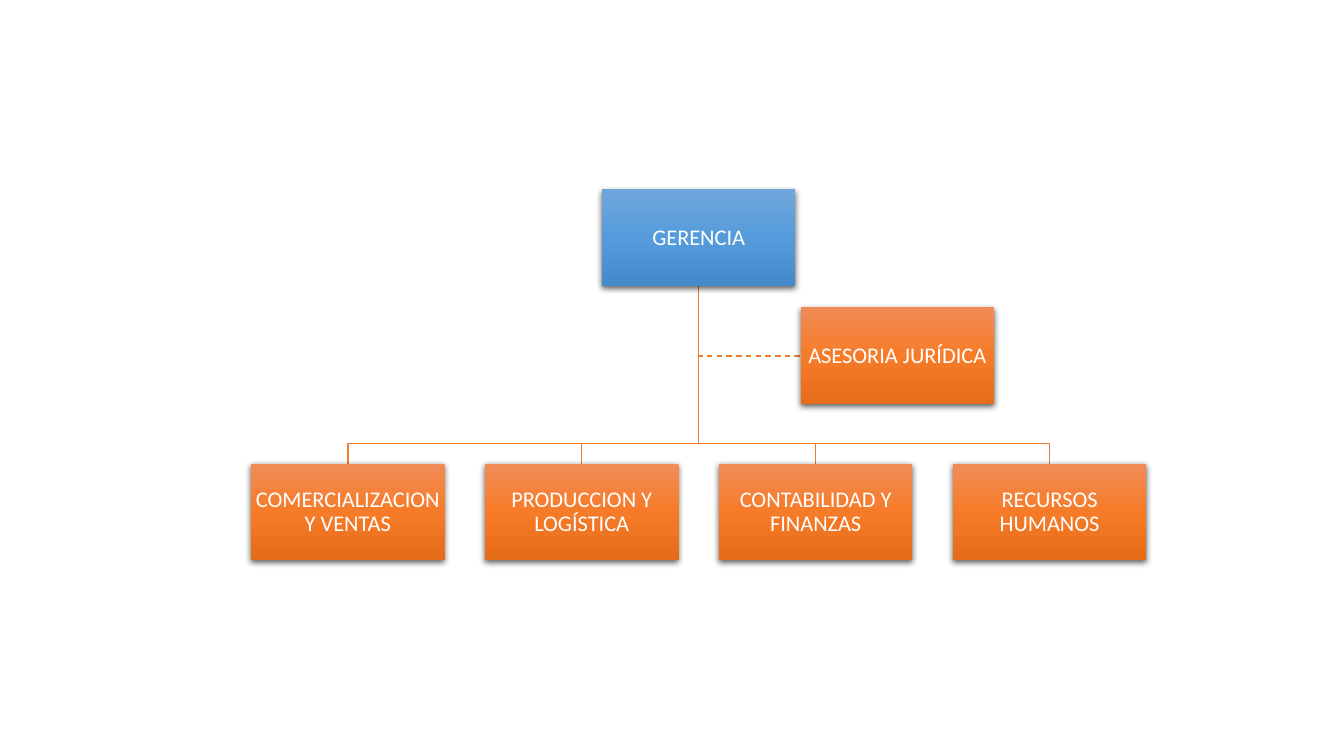
from copy import deepcopy

from lxml import etree
from pptx import Presentation
from pptx.dml.color import RGBColor
from pptx.enum import dml, shapes, text
from pptx.oxml.ns import qn
from pptx.util import Inches, Pt

# Content
MANAGEMENT = "GERENCIA"
ADVISOR = "ASESORIA JURÍDICA"
DEPARTMENTS = [
    "COMERCIALIZACION Y VENTAS",
    "PRODUCCION Y LOGÍSTICA",
    "CONTABILIDAD Y FINANZAS",
    "RECURSOS HUMANOS",
]

# Colours
WHITE = RGBColor(0xFF, 0xFF, 0xFF)
LINE_ORANGE = RGBColor(0xED, 0x7D, 0x31)
BLUES = [RGBColor.from_string(c) for c in ("71A6DB", "559BDB", "448ACA")]
ORANGES = [RGBColor.from_string(c) for c in ("F18C57", "F67B28", "E56C19")]

# Layout in inches
BOX_WIDTH, BOX_HEIGHT = 1.92, 0.96
CENTER, PITCH = 6.93, 2.32
MANAGEMENT_TOP, ADVISOR_TOP, DEPARTMENT_TOP = 1.88, 3.05, 4.6
ADVISOR_LEFT = 7.94
TRUNK_TOP = MANAGEMENT_TOP + BOX_HEIGHT
BRANCH_Y = 4.4

FRAME_FORMAT = {
    "word_wrap": True,
    "vertical_anchor": text.MSO_ANCHOR.MIDDLE,
    **{f"margin_{side}": Inches(0.01) for side in ("left", "right", "top", "bottom")},
}
PARAGRAPH_FORMAT = {"alignment": text.PP_ALIGN.CENTER, "line_spacing": 0.9}
FONT_FORMAT = {"name": "Calibri", "size": Pt(16)}

presentation = Presentation()
presentation.slide_width, presentation.slide_height = Inches(13.33), Inches(7.5)
slide = presentation.slides.add_slide(presentation.slide_layouts[6])


def set_all(target, values):
    for name, value in values.items():
        setattr(target, name, value)


def add_link(points, dashed=False):
    points = [(Inches(x), Inches(y)) for x, y in points]
    builder = slide.shapes.build_freeform(*points[0])
    builder.add_line_segments(points[1:], close=False)
    shape = builder.convert_to_shape()
    shape.shadow.inherit = False
    shape.fill.background()
    shape.line.color.rgb = LINE_ORANGE
    shape.line.width = Pt(1)
    if dashed:
        shape.line.dash_style = dml.MSO_LINE.DASH


def fill_gradient(shape, colors):
    shape.fill.gradient()
    shape.fill.gradient_angle = 270
    stop_list = next(shape._element.spPr.iter(qn("a:gsLst")))
    stop_list.append(deepcopy(stop_list[0]))
    for index, (stop, color) in enumerate(zip(shape.fill.gradient_stops, colors)):
        stop.color.rgb = color
        stop.position = index / (len(colors) - 1)


def add_shadow(shape):
    shape.shadow.inherit = False
    effects = shape._element.spPr.find(qn("a:effectLst"))
    shadow = etree.SubElement(effects, qn("a:outerShdw"), blurRad=str(Pt(4.5)),
                              dist=str(Pt(1.5)), dir="5400000", rotWithShape="0")
    color = etree.SubElement(shadow, qn("a:srgbClr"), val="000000")
    etree.SubElement(color, qn("a:alpha"), val="63000")


def add_box(label, left, top, colors):
    shape = slide.shapes.add_shape(
        shapes.MSO_SHAPE.RECTANGLE, Inches(left), Inches(top),
        Inches(BOX_WIDTH), Inches(BOX_HEIGHT))
    fill_gradient(shape, colors)
    shape.line.fill.background()
    add_shadow(shape)
    set_all(shape.text_frame, FRAME_FORMAT)
    paragraph = shape.text_frame.paragraphs[0]
    set_all(paragraph, PARAGRAPH_FORMAT)
    run = paragraph.add_run()
    run.text = label
    set_all(run.font, FONT_FORMAT)
    run.font.color.rgb = WHITE


# Links, behind the boxes
department_centers = [CENTER + (index - (len(DEPARTMENTS) - 1) / 2) * PITCH
                      for index in range(len(DEPARTMENTS))]
advisor_middle = ADVISOR_TOP + BOX_HEIGHT / 2
add_link([(CENTER, TRUNK_TOP), (CENTER, advisor_middle),
          (ADVISOR_LEFT, advisor_middle)], dashed=True)
for x in department_centers:
    add_link([(CENTER, TRUNK_TOP), (CENTER, BRANCH_Y), (x, BRANCH_Y), (x, DEPARTMENT_TOP)])

# Boxes
add_box(MANAGEMENT, CENTER - BOX_WIDTH / 2, MANAGEMENT_TOP, BLUES)
for label, x in zip(DEPARTMENTS, department_centers):
    add_box(label, x - BOX_WIDTH / 2, DEPARTMENT_TOP, ORANGES)
add_box(ADVISOR, ADVISOR_LEFT, ADVISOR_TOP, ORANGES)

presentation.save("out.pptx")
